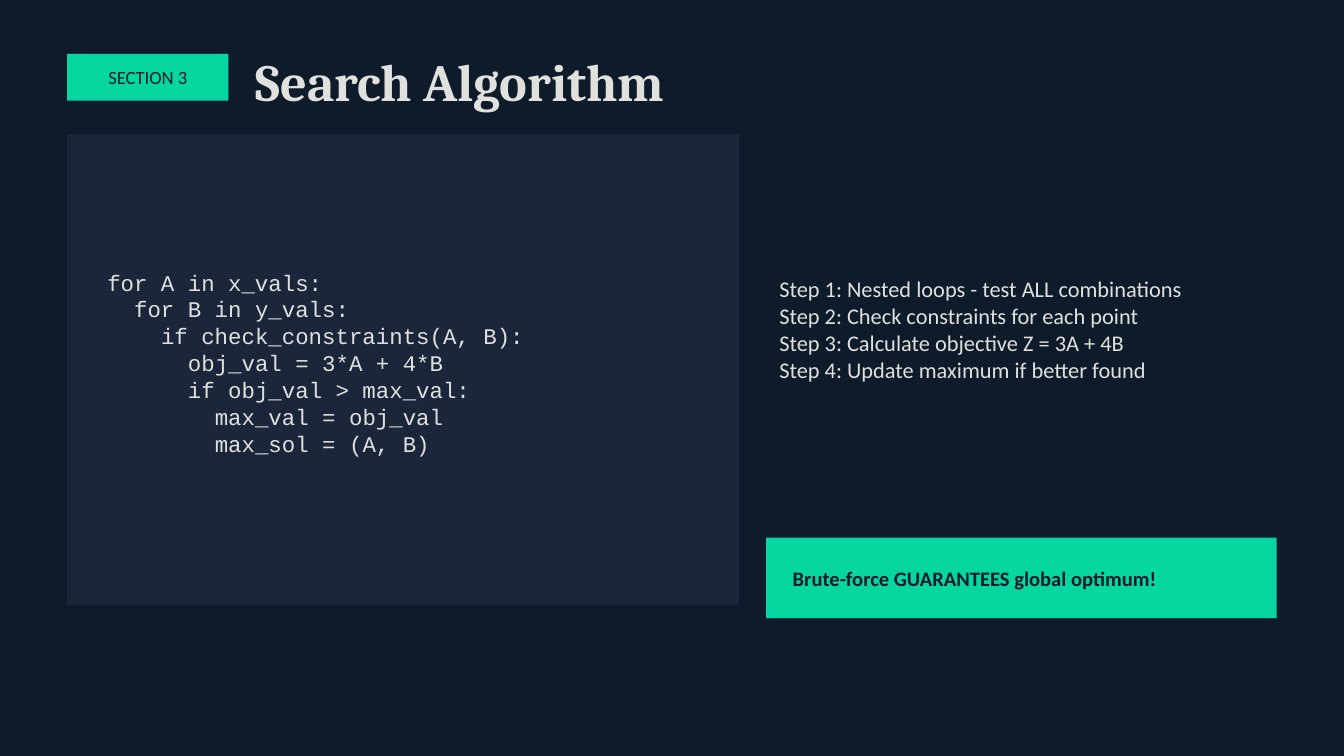
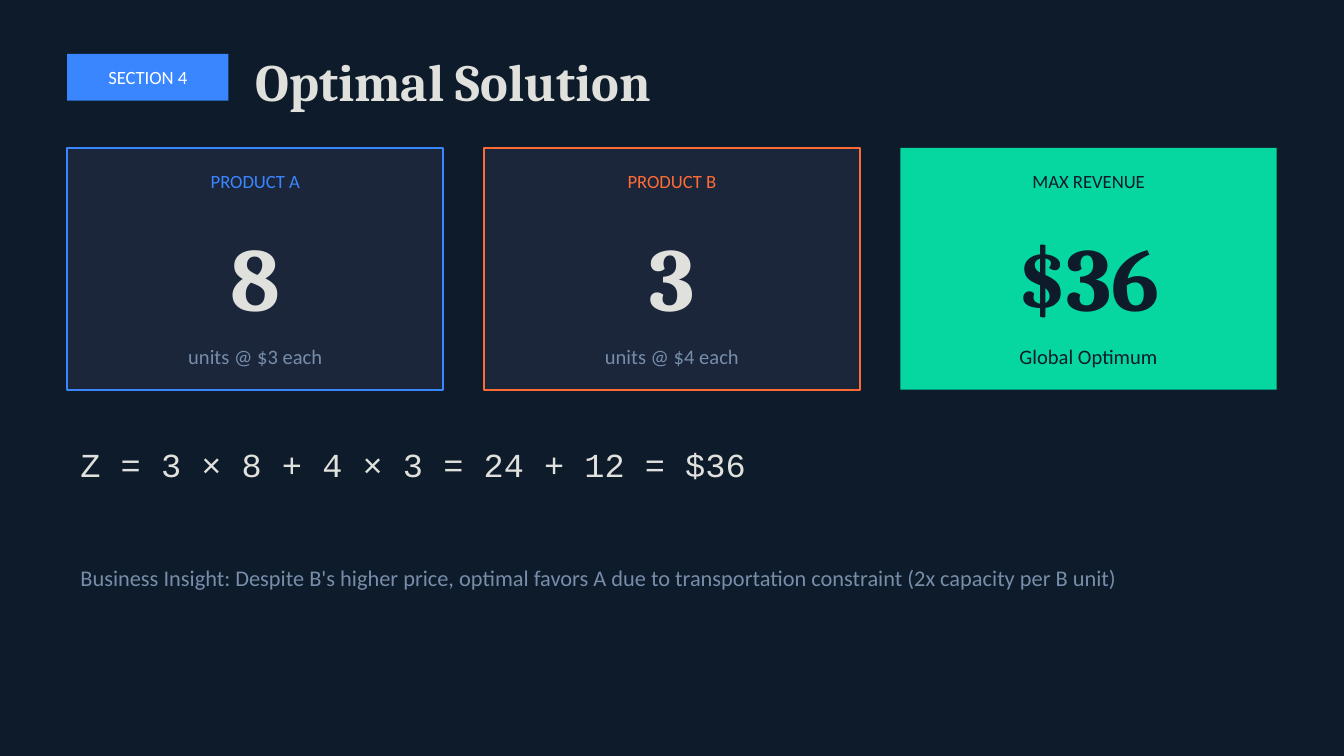
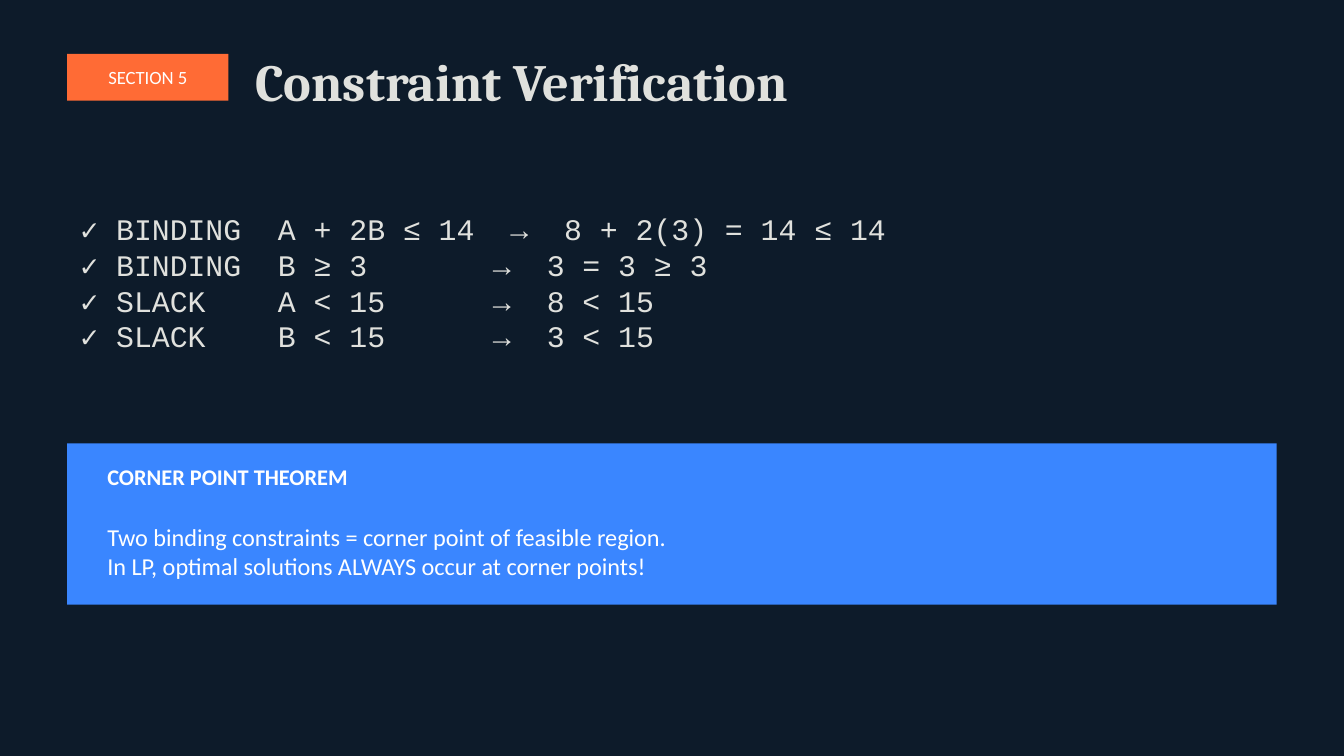
import pptx
import pptx.dml.color
import pptx.enum.shapes
import pptx.enum.text
import pptx.oxml.ns
import pptx.util
from lxml import etree

PX = 9144  # EMU in one px, at 100 px to the inch
LEFT, WIDTH = 50, 900

NAVY, PANEL = "0D1B2A", "1B263B"
IVORY, SLATE, WHITE = "E0E1DD", "778DA9", "FFFFFF"
GREEN, BLUE, ORANGE = "06D6A0", "3A86FF", "FF6B35"
BODY, HEADING, CODE = "Calibri", "Cambria", "Courier New"

CODE_INDENT = 20
SEARCH_CODE = [
    (0, "for A in x_vals:"),
    (1, "for B in y_vals:"),
    (2, "if check_constraints(A, B):"),
    (3, "obj_val = 3*A + 4*B"),
    (3, "if obj_val > max_val:"),
    (4, "max_val = obj_val"),
    (4, "max_sol = (A, B)"),
]
SEARCH_STEPS = [
    "Step 1: Nested loops - test ALL combinations",
    "Step 2: Check constraints for each point",
    "Step 3: Calculate objective Z = 3A + 4B",
    "Step 4: Update maximum if better found",
]

# label, value, note, fill, outline, label colour, value colour, note colour
RESULTS = [
    ("PRODUCT A", "8", "units @ $3 each", PANEL, BLUE, BLUE, IVORY, SLATE),
    ("PRODUCT B", "3", "units @ $4 each", PANEL, ORANGE, ORANGE, IVORY, SLATE),
    ("MAX REVENUE", "$36", "Global Optimum", GREEN, None, NAVY, NAVY, NAVY),
]
CARD_WIDTH, CARD_GAP = 280, 30

# status, constraint, check, position of the arrow
CONSTRAINTS = [
    ("✓ BINDING", "A + 2B ≤ 14", "8 + 2(3) = 14 ≤ 14", 320),
    ("✓ BINDING", "B ≥ 3", "3 = 3 ≥ 3", 307),
    ("✓ SLACK", "A < 15", "8 < 15", 307),
    ("✓ SLACK", "B < 15", "3 < 15", 307),
]
CONSTRAINT_STOP, CHECK_OFFSET = 147, 40


def rgb(colour):
    return pptx.dml.color.RGBColor.from_string(colour)


def emu(*lengths):
    return [length * PX for length in lengths]


def write(frame, text, *, size, colour=IVORY, font=BODY, bold=False,
          centred=False, indents=(), tab_stops=()):
    """Fill a frame with one paragraph per line; indents and tab_stops go by line."""
    frame.word_wrap = True
    frame.auto_size = pptx.enum.text.MSO_AUTO_SIZE.NONE
    frame.vertical_anchor = pptx.enum.text.MSO_ANCHOR.MIDDLE
    frame.text = text
    align = pptx.enum.text.PP_ALIGN
    for paragraph in frame.paragraphs:
        paragraph.alignment = align.CENTER if centred else align.LEFT
        for run in paragraph.runs:
            run.font.size = pptx.util.Pt(size)
            run.font.name = font
            run.font.bold = bold
            run.font.color.rgb = rgb(colour)
    for paragraph, indent in zip(frame.paragraphs, indents):
        paragraph._p.get_or_add_pPr().set("marL", str(indent * PX))
    for paragraph, stops in zip(frame.paragraphs, tab_stops):
        tabs = etree.SubElement(paragraph._p.get_or_add_pPr(),
                                pptx.oxml.ns.qn("a:tabLst"))
        for stop in stops:
            etree.SubElement(tabs, pptx.oxml.ns.qn("a:tab"),
                             pos=str(stop * PX), algn="l")


def add_text(slide, box, text, **style):
    write(slide.shapes.add_textbox(*emu(*box)).text_frame, text, **style)


def add_panel(slide, box, fill, outline=None):
    panel = slide.shapes.add_shape(
        pptx.enum.shapes.MSO_SHAPE.RECTANGLE, *emu(*box))
    panel.shadow.inherit = False
    panel.fill.solid()
    panel.fill.fore_color.rgb = rgb(fill)
    if outline:
        panel.line.color.rgb = rgb(outline)
        panel.line.width = pptx.util.Pt(1)
    else:
        panel.line.fill.background()
    return panel


def add_section_slide(deck, section, title, accent, label_colour=WHITE):
    """Add a title-only slide with a coloured section badge beside its title."""
    slide = deck.slides.add_slide(deck.slide_layouts[5])
    badge = add_panel(slide, (LEFT, 40, 120, 35), accent)
    write(badge.text_frame, section, size=10, colour=label_colour, centred=True)
    heading = slide.shapes.title
    heading.left, heading.top, heading.width, heading.height = emu(180, 35, 600, 50)
    write(heading.text_frame, title, size=28, font=HEADING, bold=True)
    return slide


def add_result_card(slide, left, result):
    label, value, note, fill, outline, label_colour, value_colour, note_colour = result
    add_panel(slide, (left, 110, CARD_WIDTH, 180), fill, outline)
    add_text(slide, (left, 120, CARD_WIDTH, 30), label,
             size=10, colour=label_colour, centred=True)
    add_text(slide, (left, 160, CARD_WIDTH, 90), value, size=48,
             colour=value_colour, font=HEADING, bold=True, centred=True)
    add_text(slide, (left, 250, CARD_WIDTH, 30), note,
             size=11, colour=note_colour, centred=True)


def add_search_slide(deck):
    slide = add_section_slide(deck, "SECTION 3", "Search Algorithm", GREEN, NAVY)
    add_panel(slide, (LEFT, 100, 500, 350), PANEL)
    add_text(slide, (70, 120, 450, 300),
             "\n".join(line for _, line in SEARCH_CODE), size=12, font=CODE,
             indents=[depth * CODE_INDENT for depth, _ in SEARCH_CODE])
    add_text(slide, (570, 120, 380, 250), "\n".join(SEARCH_STEPS), size=12)
    add_panel(slide, (570, 400, 380, 60), GREEN)
    add_text(slide, (580, 410, 360, 40), "Brute-force GUARANTEES global optimum!",
             size=11, colour=NAVY, bold=True)


def add_solution_slide(deck):
    slide = add_section_slide(deck, "SECTION 4", "Optimal Solution", BLUE)
    for column, result in enumerate(RESULTS):
        add_result_card(slide, LEFT + column * (CARD_WIDTH + CARD_GAP), result)
    add_text(slide, (LEFT, 320, WIDTH, 50), "Z = 3 × 8 + 4 × 3 = 24 + 12 = $36",
             size=18, font=CODE)
    add_text(slide, (LEFT, 400, WIDTH, 60),
             "Business Insight: Despite B's higher price, optimal favors A due to "
             "transportation constraint (2x capacity per B unit)",
             size=12, colour=SLATE)


def add_verification_slide(deck):
    slide = add_section_slide(deck, "SECTION 5", "Constraint Verification", ORANGE)
    add_text(slide, (LEFT, 110, WIDTH, 200),
             "\n".join("\t".join((status, constraint, "→", check))
                       for status, constraint, check, _ in CONSTRAINTS),
             size=16, font=CODE,
             tab_stops=[(CONSTRAINT_STOP, arrow, arrow + CHECK_OFFSET)
                        for *_, arrow in CONSTRAINTS])
    add_panel(slide, (LEFT, 330, WIDTH, 120), BLUE)
    add_text(slide, (70, 340, 800, 30), "CORNER POINT THEOREM",
             size=12, colour=WHITE, bold=True)
    add_text(slide, (70, 380, 850, 60),
             "Two binding constraints = corner point of feasible region.\n"
             "In LP, optimal solutions ALWAYS occur at corner points!",
             size=13, colour=WHITE)


def main():
    deck = pptx.Presentation()
    deck.slide_width = 1000 * PX
    deck.slide_height = deck.slide_width * 9 // 16
    backdrop = deck.slide_master.background.fill
    backdrop.solid()
    backdrop.fore_color.rgb = rgb(NAVY)
    add_search_slide(deck)
    add_solution_slide(deck)
    add_verification_slide(deck)
    deck.save("out.pptx")


if __name__ == "__main__":
    main()
